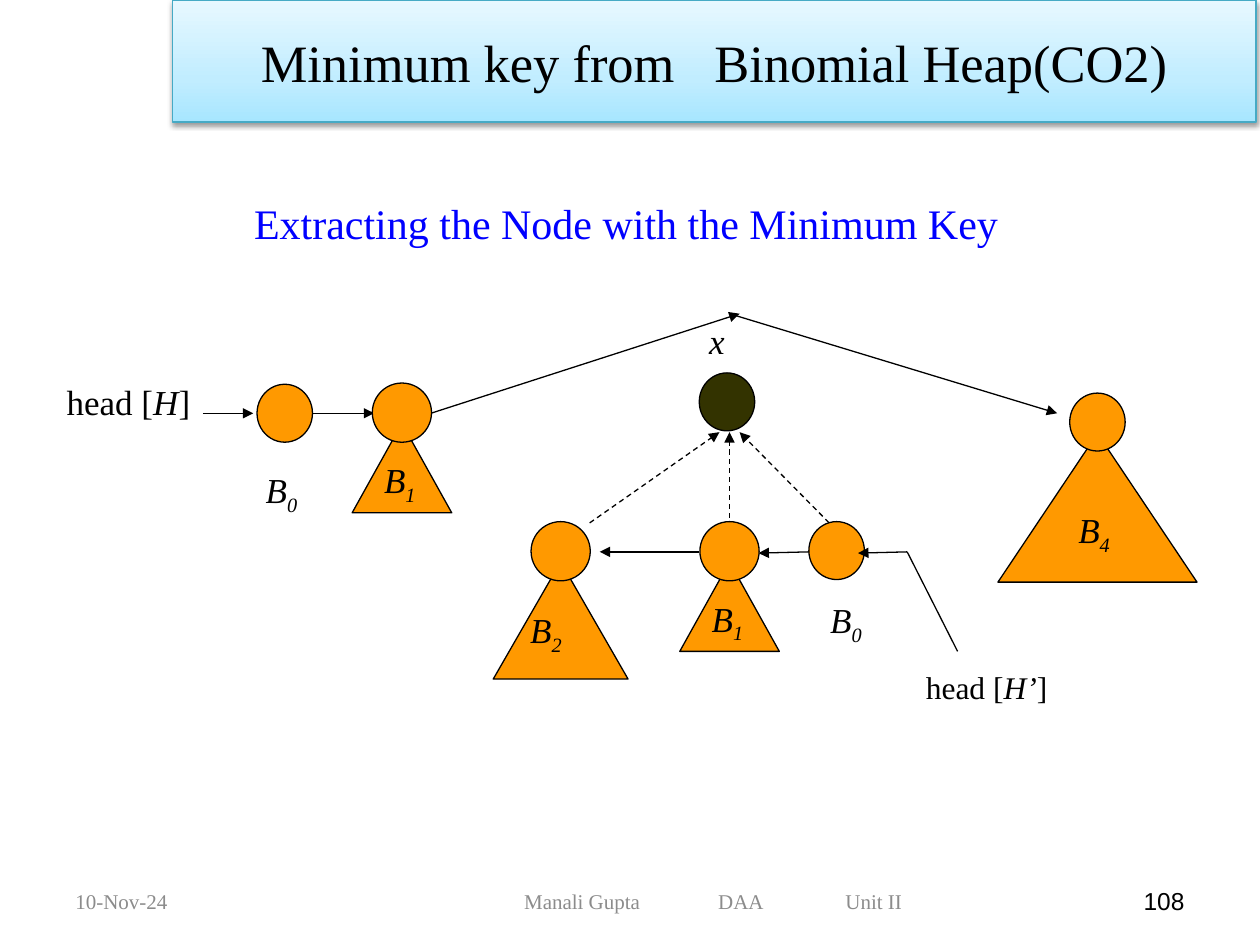
import copy
from dataclasses import dataclass
from typing import Optional

import pptx
import pptx.util
import pptx.oxml
import pptx.oxml.ns
import pptx.dml.color
import pptx.enum.dml
import pptx.enum.shapes
import pptx.enum.text

Inches, Pt = pptx.util.Inches, pptx.util.Pt
Rgb = pptx.dml.color.RGBColor.from_string
Kind = pptx.enum.shapes.MSO_SHAPE
Align = pptx.enum.text.PP_ALIGN
Anchor = pptx.enum.text.MSO_ANCHOR
qn = pptx.oxml.ns.qn
NS = pptx.oxml.ns.nsdecls("a")


@dataclass(frozen=True)
class Theme:
    serif: str = "Times New Roman"
    sans: str = "Arial"
    ink: str = "000000"
    blue: str = "0000FF"
    gray: str = "8C8C8C"
    node: str = "FF9900"
    root: str = "333300"
    edge: str = "46AAC5"
    grad: tuple = ((0, "A7E6FF"), (0.35, "C1EDFF"), (1, "E7F8FF"))
    banner: int = 30
    title: int = 24
    label: int = 20
    small: int = 18
    page: int = 14
    foot: int = 12
    line: float = 0.75


@dataclass(frozen=True)
class Tree:
    mid: float
    top: float
    wide: float = 0.44
    high: float = 0.46
    base: Optional[tuple] = None  # width and height of the triangle
    fill: str = Theme.node


@dataclass(frozen=True)
class Link:
    start: tuple
    end: tuple
    dash: bool = False
    arrow: bool = True


@dataclass(frozen=True)
class Label:
    box: tuple
    words: tuple  # (text, style); i = italic, s = italic subscript
    size: int = Theme.label
    color: str = Theme.ink
    font: str = Theme.serif
    align: Align = Align.LEFT
    anchor: Anchor = Anchor.TOP
    inset: float = 0.1
    tabs: tuple = ()


def put(item, vals: dict) -> None:
    for name, val in vals.items():
        setattr(item, name, val)


def write(shape, label: Label) -> None:
    frame = shape.text_frame
    put(frame, {"word_wrap": True, "vertical_anchor": label.anchor,
                "margin_left": Inches(label.inset)})
    para = frame.paragraphs[0]
    para.alignment = label.align
    if label.tabs:
        stops = "".join(f'<a:tab pos="{Inches(pos)}" algn="l"/>' for pos in label.tabs)
        para._p.get_or_add_pPr().append(
            pptx.oxml.parse_xml(f"<a:tabLst {NS}>{stops}</a:tabLst>"))
    for text, style in label.words:
        run = para.add_run()
        run.text = text
        put(run.font, {"size": Pt(label.size), "name": label.font,
                       "italic": style in ("i", "s")})
        run.font.color.rgb = Rgb(label.color)
        if style == "s":
            run._r.get_or_add_rPr().set("baseline", "-25000")


def add_text(slide, label: Label) -> None:
    write(slide.shapes.add_textbox(*map(Inches, label.box)), label)


def add_form(slide, kind, box: tuple, fill: str, edge: str = Theme.ink):
    shape = slide.shapes.add_shape(kind, *map(Inches, box))
    shape.shadow.inherit = False
    shape.fill.solid()
    shape.fill.fore_color.rgb = Rgb(fill)
    shape.line.color.rgb = Rgb(edge)
    shape.line.width = Pt(Theme.line)
    return shape


def add_tree(slide, tree: Tree) -> None:
    if tree.base:
        wide, high = tree.base
        add_form(slide, Kind.ISOSCELES_TRIANGLE,
                 (tree.mid - wide / 2, tree.top + 0.32, wide, high), tree.fill)
    add_form(slide, Kind.OVAL,
             (tree.mid - tree.wide / 2, tree.top, tree.wide, tree.high), tree.fill)


def add_link(slide, link: Link) -> None:
    wire = slide.shapes.add_connector(pptx.enum.shapes.MSO_CONNECTOR.STRAIGHT,
                                      *map(Inches, link.start + link.end))
    wire.line.color.rgb = Rgb(Theme.ink)
    wire.line.width = Pt(Theme.line)
    if link.dash:
        wire.line.dash_style = pptx.enum.dml.MSO_LINE.DASH
    props = wire._element.spPr
    if link.arrow:
        props.find(qn("a:ln")).append(
            pptx.oxml.parse_xml(f'<a:tailEnd {NS} type="triangle"/>'))
    props.append(pptx.oxml.parse_xml(f"<a:effectLst {NS}/>"))


def add_banner(slide, label: Label) -> None:
    shape = add_form(slide, Kind.RECTANGLE, label.box, Theme.grad[0][1], Theme.edge)
    shape.fill.gradient()
    shape.fill.gradient_angle = 90
    props = shape._element.spPr
    stops = props.find(qn("a:gradFill")).find(qn("a:gsLst"))
    stops.append(copy.deepcopy(stops[0]))
    for stop, (pos, color) in zip(shape.fill.gradient_stops, Theme.grad):
        stop.position = pos
        stop.color.rgb = Rgb(color)
    props.find(qn("a:effectLst")).append(pptx.oxml.parse_xml(
        f'<a:outerShdw {NS} blurRad="{Pt(3.1)}" dist="{Pt(1.6)}" dir="5400000" '
        f'rotWithShape="0"><a:srgbClr val="{Theme.ink}"><a:alpha val="38000"/>'
        '</a:srgbClr></a:outerShdw>'))
    write(shape, label)


def heap(order: int, left: float, top: float) -> Label:
    return Label((left, top, 0.7, 0.43), (("B", "i"), (str(order), "s")))


BIG = {"wide": 0.47, "high": 0.47}
TREES = (
    Tree(2.26, 3.05),
    Tree(3.19, 3.04, base=(0.79, 0.71), **BIG),
    Tree(5.77, 2.96, fill=Theme.root),
    Tree(4.45, 4.14, base=(1.07, 0.93), **BIG),
    Tree(5.79, 4.14, base=(0.79, 0.71), **BIG),
    Tree(6.64, 4.14),
    Tree(8.71, 3.12, base=(1.58, 1.18)),
)
LINKS = (
    Link((5.79, 2.49), (8.39, 3.28)),
    Link((1.61, 3.28), (2.01, 3.28)),
    Link((2.48, 3.28), (2.97, 3.28)),
    Link((3.42, 3.28), (5.87, 2.49)),
    Link((5.55, 4.38), (4.76, 4.38)),
    Link((6.42, 4.38), (6.02, 4.39)),
    Link((4.68, 4.15), (5.71, 3.43), dash=True),
    Link((5.79, 4.11), (5.79, 3.43), dash=True),
    Link((6.63, 4.2), (5.87, 3.43), dash=True),
)
HOOK = (
    Link((7.2, 4.38), (6.81, 4.39)),
    Link((7.2, 4.38), (7.6, 5.17), arrow=False),
)
LABELS = (
    Label((0.43, 2.97, 1.3, 0.43), (("head [", ""), ("H", "i"), ("]", ""))),
    Label((7.25, 5.25, 1.3, 0.4), (("head [", ""), ("H’", "i"), ("]", "")), Theme.small),
    Label((5.53, 2.49, 0.39, 0.43), (("x", "i"),)),
    heap(0, 2.01, 3.67), heap(1, 2.95, 3.59), heap(2, 4.11, 4.78),
    heap(1, 5.55, 4.69), heap(0, 6.49, 4.7), heap(4, 8.46, 3.99),
)
TITLE = Label((0.26, 1.14, 9.42, 1.25), (("Extracting the Node with the Minimum Key", ""),),
              Theme.title, Theme.blue, align=Align.CENTER, anchor=Anchor.MIDDLE)
BANNER = Label((1.37, 0, 8.6, 0.97), (("Minimum key from\tBinomial Heap(CO2)", ""),),
               Theme.banner, anchor=Anchor.MIDDLE, inset=0.7, tabs=(3.6,))
FOOT = (
    Label((0.5, 6.95, 2.33, 0.4), (("10-Nov-24", ""),), Theme.foot, Theme.gray,
          anchor=Anchor.MIDDLE),
    Label((3.42, 6.95, 4.5, 0.4), (("Manali Gupta\tDAA\tUnit II", ""),), Theme.foot,
          Theme.gray, anchor=Anchor.MIDDLE, inset=0.74, tabs=(1.54, 2.55)),
    Label((7.17, 6.95, 2.33, 0.4), (("108", ""),), Theme.page, font=Theme.sans,
          align=Align.RIGHT, anchor=Anchor.MIDDLE),
)


def main() -> None:
    deck = pptx.Presentation()
    put(deck, {"slide_width": Inches(10), "slide_height": Inches(7.5)})
    slide = deck.slides.add_slide(deck.slide_layouts[5])

    # Title and banner
    title = slide.shapes.title
    put(title, dict(zip(("left", "top", "width", "height"), map(Inches, TITLE.box))))
    write(title, TITLE)
    add_banner(slide, BANNER)

    # Heap diagram: links lie behind the trees, the hook in front
    for draw, items in ((add_link, LINKS), (add_tree, TREES),
                        (add_link, HOOK), (add_text, LABELS + FOOT)):
        for item in items:
            draw(slide, item)

    deck.save("out.pptx")


if __name__ == "__main__":
    main()
